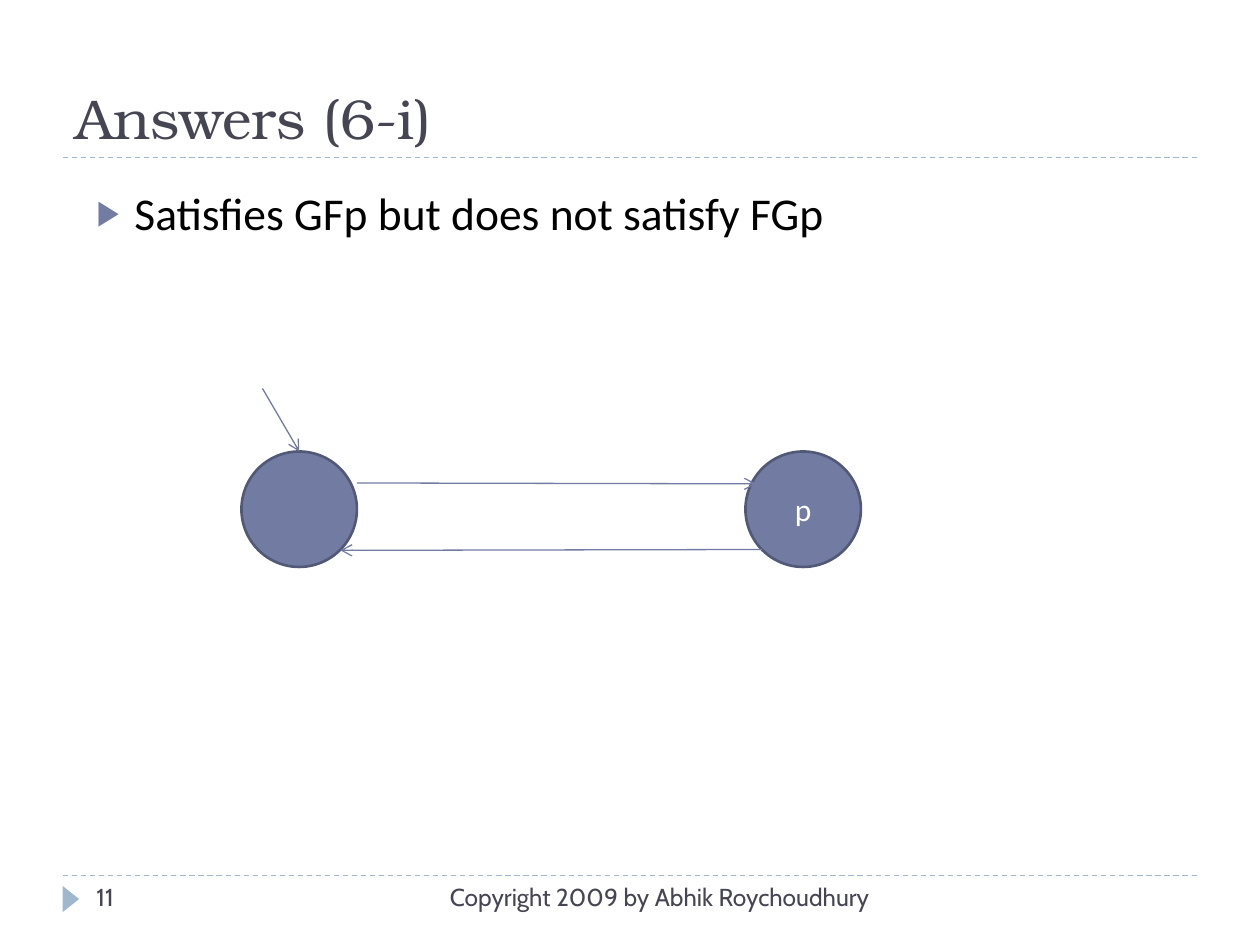
from lxml.etree import SubElement
from pptx import Presentation
from pptx.dml.color import RGBColor
from pptx.enum.dml import MSO_LINE
from pptx.enum.shapes import MSO_CONNECTOR, MSO_SHAPE
from pptx.enum.text import MSO_ANCHOR, MSO_AUTO_SIZE, PP_ALIGN
from pptx.oxml.ns import qn
from pptx.util import Pt

# Content
TITLE = "Answers (6-i)"
POINTS = ["Satisfies GFp but does not satisfy FGp"]
FOOTER = "Copyright 2009 by Abhik Roychoudhury"
PAGE_NUMBER = "11"
STATES = [("", 138), ("p", 426)]  # label, left
STATE_TOP, STATE_SIZE = 258, 66
TRANSITIONS = [((204, 276), (432, 276.5)), ((435.5, 314), (194.5, 314.5))]
START_POINT = (150, 222)
RULE_HEIGHTS = [500.5, 90]

THEME = {
    "title": dict(font="TeX Gyre Bonum", size=32, color="464653"),
    "body": dict(font="Calibri", size=26, color="000000"),
    "footer": dict(font="Cabin", size=14, color="464653"),
    "state": dict(font="Calibri", size=18, color="FFFFFF"),
    "accent": "727CA3",
    "outline": "525977",
    "rule": "9FB8CD",
}


def color(name):
    return RGBColor.from_string(THEME[name])


def place(shape, left, top, width, height):
    shape.left, shape.top, shape.width, shape.height = map(Pt, (left, top, width, height))


def write(shape, text, style, align=PP_ALIGN.LEFT, anchor=MSO_ANCHOR.TOP, new=False):
    """Put one paragraph in a shape and return it."""
    frame = shape.text_frame
    frame.word_wrap = True
    frame.auto_size = MSO_AUTO_SIZE.NONE
    frame.vertical_anchor = anchor
    para = frame.add_paragraph() if new else frame.paragraphs[0]
    para.alignment = align
    span = para.add_run()
    span.text = text
    look = THEME[style]
    span.font.name = look["font"]
    span.font.size = Pt(look["size"])
    span.font.color.rgb = RGBColor.from_string(look["color"])
    return para


def add_bullet(para):
    para.space_before = Pt(6)
    properties = para._p.get_or_add_pPr()
    indent = Pt(21.6)
    properties.set("marL", str(indent))
    properties.set("indent", str(-indent))
    bullet_color = SubElement(properties, qn("a:buClr"))
    SubElement(bullet_color, qn("a:srgbClr"), val=THEME["accent"])
    SubElement(properties, qn("a:buSzPct"), val="76000")
    SubElement(properties, qn("a:buChar"), char="▶")


def add_line(page, start, end, line_color, arrow=False, dash=None):
    line = page.shapes.add_connector(MSO_CONNECTOR.STRAIGHT, *map(Pt, start + end))
    line.line.color.rgb = color(line_color)
    line.line.width = Pt(0.75)
    if dash:
        line.line.dash_style = dash
    if arrow:
        SubElement(line.line._get_or_add_ln(), qn("a:tailEnd"), type="arrow")
    SubElement(line._element.spPr, qn("a:effectLst"))
    return line


def add_filled(page, kind, box, fill, outline=None):
    shape = page.shapes.add_shape(kind, *map(Pt, box))
    shape.shadow.inherit = False
    shape.fill.solid()
    shape.fill.fore_color.rgb = color(fill)
    if outline:
        shape.line.color.rgb = color(outline)
        shape.line.width = Pt(1.5)
    else:
        shape.line.fill.background()
    return shape


def main():
    deck = Presentation()
    deck.slide_width, deck.slide_height = Pt(720), Pt(540)
    page = deck.slides.add_slide(deck.slide_layouts[1])

    # Rules and footer marker
    for height in RULE_HEIGHTS:
        add_line(page, (36, height), (684, height), "rule", dash=MSO_LINE.DASH)
    marker = add_filled(page, MSO_SHAPE.ISOSCELES_TRIANGLE, (33, 509, 15, 9.5), "rule")
    marker.rotation = 90

    # Title and list
    title, body = page.placeholders
    place(title, 36, 12, 648, 78)
    write(title, TITLE, "title", anchor=MSO_ANCHOR.BOTTOM)
    place(body, 48, 102, 648, 389)
    for index, point in enumerate(POINTS):
        add_bullet(write(body, point, "body", new=index > 0))

    # Footer
    for text, left, width, align in [
        (FOOTER, 228, 276, PP_ALIGN.RIGHT),
        (PAGE_NUMBER, 48, 156, PP_ALIGN.LEFT),
    ]:
        box = page.shapes.add_textbox(Pt(left), Pt(500.5), Pt(width), Pt(29))
        write(box, text, "footer", align=align)

    # States
    circles = []
    for label, left in STATES:
        box = (left, STATE_TOP, STATE_SIZE, STATE_SIZE)
        circle = add_filled(page, MSO_SHAPE.OVAL, box, "accent", "outline")
        if label:
            write(circle, label, "state", align=PP_ALIGN.CENTER, anchor=MSO_ANCHOR.MIDDLE)
        circles.append(circle)

    # Transitions, then the arrow into the initial state
    for start, end in TRANSITIONS:
        add_line(page, start, end, "accent", arrow=True)
    top_of_first = (STATES[0][1] + STATE_SIZE / 2, STATE_TOP)
    entry = add_line(page, START_POINT, top_of_first, "accent", arrow=True)
    entry.end_connect(circles[0], 0)

    deck.save("out.pptx")


if __name__ == "__main__":
    main()
